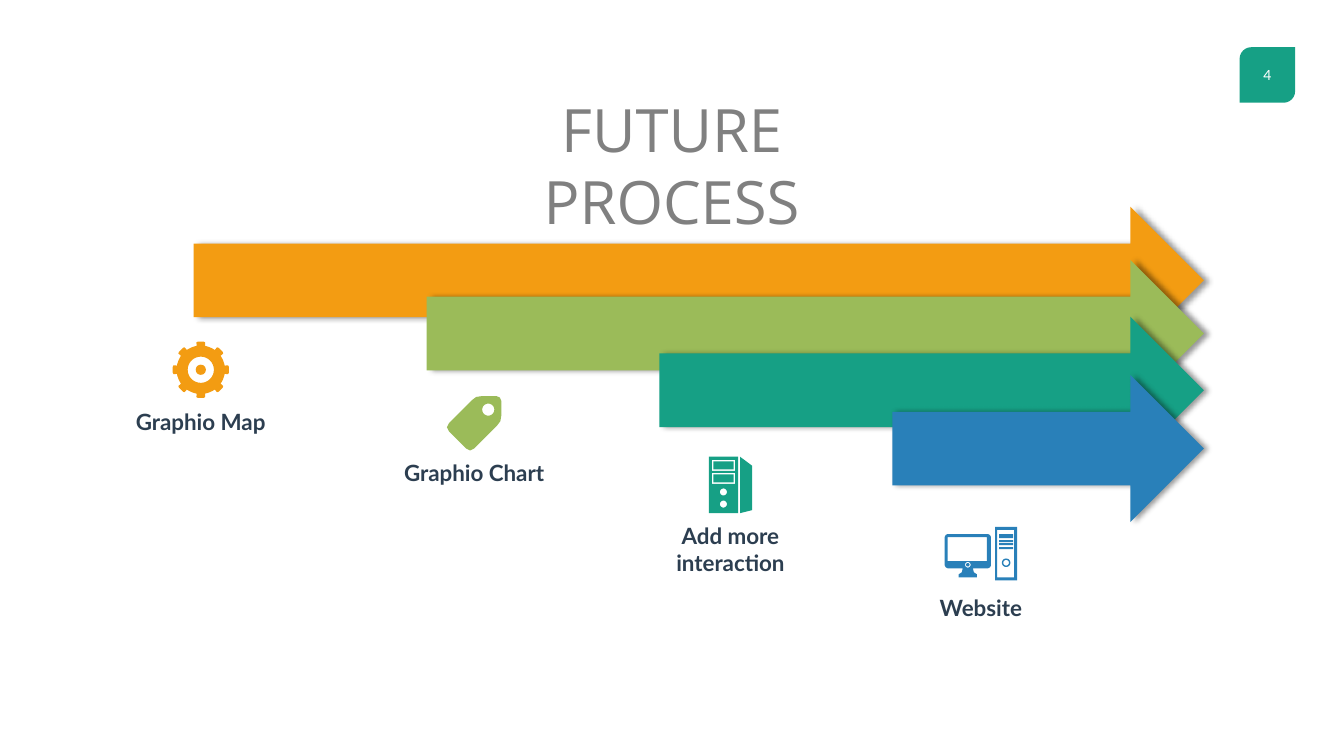
from collections import namedtuple
from math import cos, pi, radians, sin

from lxml.etree import SubElement
from pptx import Presentation
from pptx.dml.color import RGBColor
from pptx.enum.shapes import MSO_SHAPE as Preset
from pptx.enum.text import MSO_ANCHOR as Anchor, MSO_AUTO_SIZE as AutoSize, PP_ALIGN as Align
from pptx.oxml.ns import qn
from pptx.util import Cm, Pt

COLORS = {
    "orange": "F39C12", "green": "9BBB59", "teal": "16A085", "blue": "2980B9",
    "navy": "2C3E50", "gray": "808080", "white": "FFFFFF", "black": "000000",
}
ICON_UNIT = Cm(2.54) / 100
ICON_DETAIL = 100  # freeform vertices are whole numbers, so icons get a finer grid
ARROW_TIP, ARROW_HEIGHT = 30.34, 3.71
LABEL_WIDTH = 4.19

Box = namedtuple("Box", "left top width height")
Stage = namedtuple("Stage", "text color icon top center icon_drop label_drop label_height")


def circle(x, y, radius, steps=32):
    return [(x + radius * cos(2 * pi * k / steps), y + radius * sin(2 * pi * k / steps))
            for k in range(steps)]


def rect(left, top, right, bottom):
    return [(left, top), (right, top), (right, bottom), (left, bottom)]


def gear_contours():
    """Eight teeth around a ring with a hub; later contours cut holes."""
    tooth = [(-15, 24), (-10, 24), (-9, 27.5), (-6, 28), (6, 28), (9, 27.5),
             (10, 24), (15, 24), (22.5, 24)]
    rim = [(28 + r * cos(radians(45 * k + a)), 28 + r * sin(radians(45 * k + a)))
           for k in range(8) for a, r in tooth]
    return [rim, circle(28, 28, 13), circle(28, 28, 5)]


def tag_contours():
    outline = [(49, 0), (35, 0), (29, 1), (25, 4), (2, 27), (0, 31), (2, 35), (19, 52),
               (23, 54), (27, 52), (50, 29), (53, 25), (54, 19), (54, 5), (52.5, 1.5)]
    return [outline, circle(41, 13.5, 6)]


def server_contours():
    side = [(31, 0), (43, 9), (43, 53), (31, 56)]
    bays = [rect(3 + inset, top + inset, 26 - inset, top + 11 - inset)
            for top in (3, 16) for inset in (0, 1.5)]
    knobs = [circle(14.5, y, 3.5) for y in (35, 47)]
    return [rect(0, 0, 29, 56), side, *bays, *knobs]


def computer_contours():
    monitor = [(1, 8), (3, 7), (43, 7), (45, 8), (46, 10), (46, 38), (45, 40), (43, 41),
               (28, 41), (29, 45), (32, 47), (32, 50), (14, 50), (14, 47), (17, 45),
               (18, 41), (3, 41), (1, 40), (0, 38), (0, 10)]
    slots = [rect(54, top, 68, bottom) for top, bottom in ((7, 11), (13, 15), (16, 18), (20, 22))]
    rings = [circle(x, y, radius) for x, y, radius in
             ((23, 37.5, 2.8), (23, 37.5, 1.7), (61, 35.5, 4.2), (61, 35.5, 2.8))]
    return [monitor, rect(3, 10, 42, 34), rect(50, 0, 72, 53), rect(52, 3, 69, 50),
            *slots, *rings]


STAGES = [
    Stage("Graphio Map", "orange", gear_contours, 5.21, 5.06, 3.4, 4.95, 0.94),
    Stage("Graphio Chart", "green", tag_contours, 6.55, 11.95, 3.43, 4.88, 0.94),
    Stage("Add more interaction", "teal", server_contours, 7.98, 18.41, 3.53, 5.05, 1.63),
    Stage("Website", "blue", computer_contours, 9.45, 24.72, 3.83, 5.38, 0.94),
]


def rgb(name):
    return RGBColor.from_string(COLORS[name])


def paint(shape, color):
    shape.fill.solid()
    shape.fill.fore_color.rgb = rgb(color)
    shape.line.fill.background()
    shape.shadow.inherit = False


def write(shape, text, *, size, font="Lato", color="navy", bold=False,
          anchor=Anchor.TOP, grow=True, margins=(0.25, 0.13)):
    frame = shape.text_frame
    frame.word_wrap = True
    frame.auto_size = AutoSize.SHAPE_TO_FIT_TEXT if grow else AutoSize.NONE
    frame.vertical_anchor = anchor
    frame.margin_left = frame.margin_right = Cm(margins[0])
    frame.margin_top = frame.margin_bottom = Cm(margins[1])
    para = frame.paragraphs[0]
    para.alignment = Align.CENTER
    span = para.add_run()
    span.text = text
    span.font.name, span.font.size, span.font.bold = font, Pt(size), bold
    span.font.color.rgb = rgb(color)


def cast_shadow(shape):
    effects = shape._element.spPr.find(qn("a:effectLst"))
    shadow = SubElement(effects, qn("a:outerShdw"), blurRad=str(Pt(4)), dist=str(Pt(3)),
                        dir="0", algn="l", rotWithShape="0")
    tint = SubElement(shadow, qn("a:srgbClr"), val=COLORS["black"])
    SubElement(tint, qn("a:alpha"), val="40000")


def add_arrow(page, box, color):
    arrow = page.shapes.add_shape(Preset.RIGHT_ARROW, *map(Cm, box))
    paint(arrow, color)
    cast_shadow(arrow)


def add_icon(page, center, top, contours, color):
    grids = [[(x * ICON_DETAIL, y * ICON_DETAIL) for x, y in points] for points in contours]
    builder = page.shapes.build_freeform(*grids[0][0], scale=ICON_UNIT / ICON_DETAIL)
    builder.add_line_segments(grids[0][1:])
    for points in grids[1:]:
        builder.move_to(*points[0])
        builder.add_line_segments(points[1:])
    icon = builder.convert_to_shape()
    icon.left, icon.top = Cm(center) - icon.width // 2, Cm(top)
    paint(icon, color)


def add_caption(page, stage):
    """Places icon and label below the stage's arrow, on one centre line."""
    add_icon(page, stage.center, stage.top + stage.icon_drop, stage.icon(), stage.color)
    box = Box(stage.center - LABEL_WIDTH / 2, stage.top + stage.label_drop,
              LABEL_WIDTH, stage.label_height)
    write(page.shapes.add_textbox(*map(Cm, box)), stage.text, size=16, bold=True)


def add_process(page, left, step):
    for number, stage in enumerate(STAGES):
        start = left + number * step
        add_arrow(page, Box(start, stage.top, ARROW_TIP - start, ARROW_HEIGHT), stage.color)
    for stage in STAGES:
        add_caption(page, stage)


def add_title(page, box):
    write(page.shapes.add_textbox(*map(Cm, box)), "FUTURE PROCESS", size=42.7,
          font="Open Sans", color="gray", margins=(0.18, 0.08))


def add_page_badge(page, box):
    badge = page.shapes.add_shape(Preset.ROUND_2_DIAG_RECTANGLE, *map(Cm, box))
    badge.adjustments[0], badge.adjustments[1] = 0.21, 0
    paint(badge, "teal")
    write(badge, "4", size=10, color="white", anchor=Anchor.MIDDLE, grow=False)


def main():
    deck = Presentation()
    deck.slide_width, deck.slide_height = Cm(33.87), Cm(19.05)
    page = deck.slides.add_slide(deck.slide_layouts[6])
    add_page_badge(page, Box(31.24, 1.19, 1.4, 1.4))
    add_process(page, left=4.88, step=5.87)
    add_title(page, Box(10.62, 2.26, 12.62, 2.01))
    deck.save("out.pptx")


if __name__ == "__main__":
    main()
